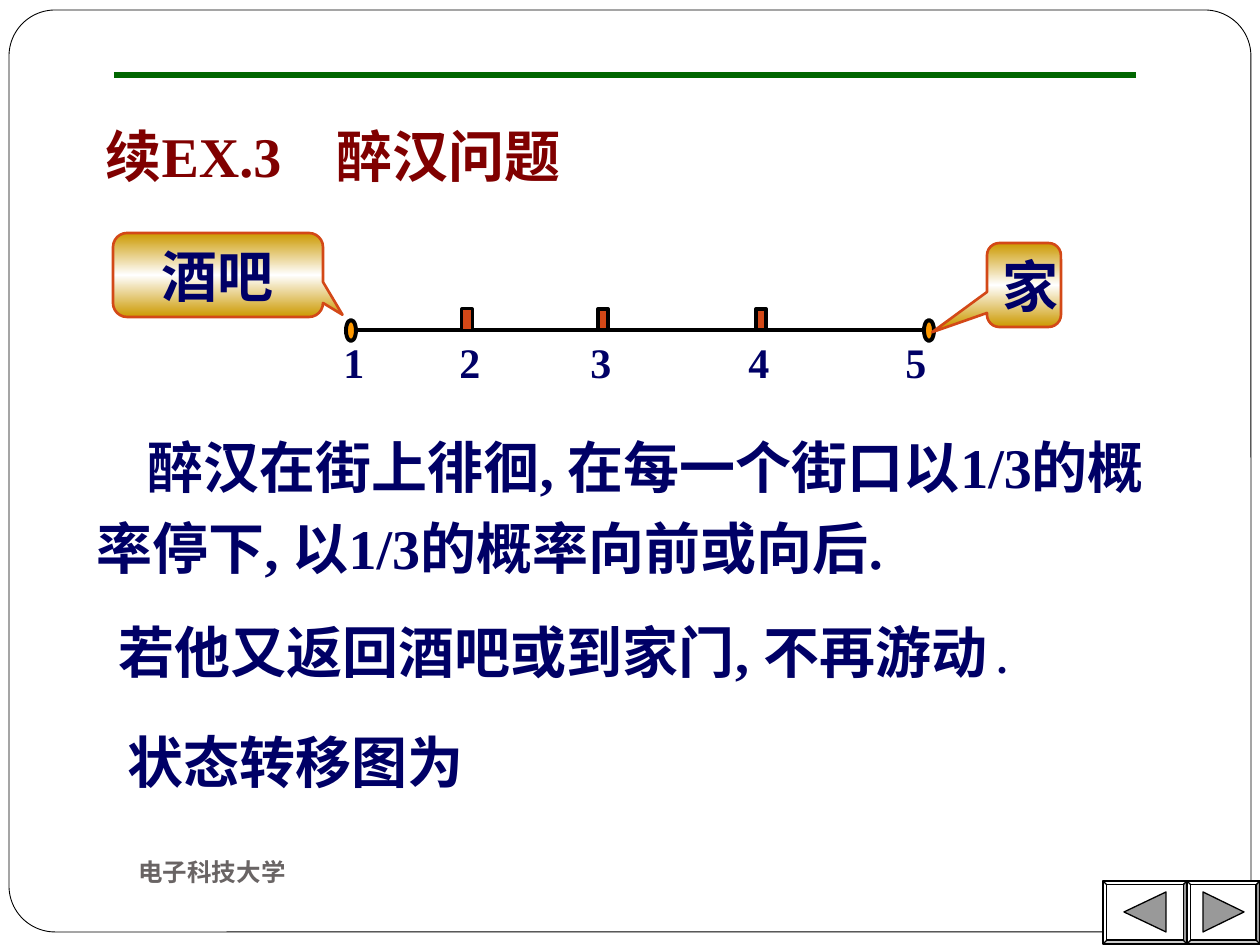
from copy import deepcopy

from pptx import Presentation
from pptx import util as u
from pptx.dml.color import RGBColor
from pptx.enum import shapes as kinds, text as txt
from pptx.oxml.ns import qn
from pptx.oxml.xmlchemy import OxmlElement

SCALE = 914400 / 126
NAVY, MAROON, RUST, GOLD = "000066", "800000", "D34817", "CC9900"
SHAPE = kinds.MSO_SHAPE


def px(n):
    return u.Emu(round(n * SCALE))


def colour(value):
    return RGBColor.from_string(value)


def place(shape, box):
    shape.left, shape.top, shape.width, shape.height = map(px, box)


def outline(shape, value, width):
    shape.line.color.rgb = colour(value)
    shape.line.width = u.Pt(width)


def paint(shape, fill, line, width):
    shape.shadow.inherit = False
    shape.fill.solid()
    shape.fill.fore_color.rgb = colour(fill)
    outline(shape, line, width)


def add_shape(slide, kind, box, fill, line="000000", width=2.25):
    shape = slide.shapes.add_shape(kind, *map(px, box))
    paint(shape, fill, line, width)
    return shape


def add_line(slide, start, end, line, width):
    connector = slide.shapes.add_connector(
        kinds.MSO_CONNECTOR.STRAIGHT, *map(px, start + end))
    outline(connector, line, width)
    connector._element.spPr.append(OxmlElement("a:effectLst"))


def write(frame, runs, value=NAVY, align=txt.PP_ALIGN.LEFT):
    paragraph = frame.paragraphs[0]
    paragraph.alignment = align
    for words, size in runs:
        run = paragraph.add_run()
        run.text = words
        run.font.size = u.Pt(size)
        run.font.bold = True
        run.font.name = "Times New Roman"
        run.font.color.rgb = colour(value)
    return paragraph


def add_text(slide, box, runs, value=NAVY, wrap=False):
    frame = slide.shapes.add_textbox(*map(px, box)).text_frame
    frame.word_wrap = wrap
    return write(frame, runs, value)


def add_button(slide, box, arrow):
    left, top, width, height = box
    bevel = add_shape(slide, SHAPE.BEVEL, box, "FFFFFF", width=0.75)
    bevel.adjustments[0] = 0.06
    points = [(left + x, top + y) for x, y in arrow]
    builder = slide.shapes.build_freeform(*points[0], scale=SCALE)
    builder.add_line_segments(points[1:], close=True)
    paint(builder.convert_to_shape(), "999999", "000000", 0.75)


def add_frame(slide):
    card = add_shape(slide, SHAPE.ROUNDED_RECTANGLE, (9, 10, 1242, 922),
                     "FFFFFF", width=0.5)
    card.adjustments[0] = 0.05
    add_button(slide, (1187, 881, 73, 63), [(16, 11), (57, 31), (16, 51)])
    add_button(slide, (1103, 881, 84, 63), [(21, 31), (63, 11), (63, 51)])
    add_line(slide, (114, 75), (1136, 75), "006600", 3)
    add_text(slide, (126, 851, 546, 63), [("电子科技大学", 14)], "696464")


def add_title(slide, box):
    title = slide.shapes.title
    place(title, box)
    frame = title.text_frame
    frame.auto_size = txt.MSO_AUTO_SIZE.NONE
    frame.vertical_anchor = txt.MSO_ANCHOR.TOP
    frame.word_wrap = True
    paragraph = write(frame, [("续EX.3\t醉汉问题", 32)], MAROON)
    tabs = OxmlElement("a:tabLst")
    stop = OxmlElement("a:tab")
    stop.set("pos", str(px(231)))
    stop.set("algn", "l")
    tabs.append(stop)
    paragraph._p.get_or_add_pPr().append(tabs)


def add_callout(slide, box, pointer, words):
    callout = add_shape(slide, SHAPE.ROUNDED_RECTANGULAR_CALLOUT, box,
                        GOLD, RUST, 1.5)
    for index, value in enumerate(pointer):
        callout.adjustments[index] = value
    callout.fill.gradient()
    callout.fill.gradient_angle = 90
    stops = callout._element.spPr.find(qn("a:gradFill")).find(qn("a:gsLst"))
    stops.insert(1, deepcopy(stops[0]))
    for stop, value, position in zip(callout.fill.gradient_stops,
                                     (GOLD, "FFFFFF", GOLD), (0, 0.5, 1)):
        stop.color.rgb = colour(value)
        stop.position = position
    callout.text_frame.word_wrap = True
    write(callout.text_frame, [(words, 32)], align=txt.PP_ALIGN.CENTER)


def add_street(slide, box):
    left, top, width, height = box
    add_line(slide, (left, top + 21), (left + width, top + 21), "000000", 2.25)
    for end in (0, width - 10):
        add_shape(slide, SHAPE.OVAL, (left + end, top + 11, 10, 21), "FF9900")
    corners = (116, 252, 410)
    for corner in corners:
        add_shape(slide, SHAPE.RECTANGLE, (left + corner, top, 10, 21), RUST)
    add_callout(slide, (left - 233, top - 76, 210, 84),
                (0.593, 0.474, 0.167), "酒吧")
    add_shape(slide, SHAPE.RECTANGLE, (left + corners[0], top, 10, 21),
              RUST, width=0.75)
    add_callout(slide, (left + 641, top - 66, 74, 84),
                (-1.241, 0.562, 0.167), "家")
    for number, offset in enumerate((-15, 101, 232, 390, 547), 1):
        add_text(slide, (left + offset, top + 21, 45, 63), [(str(number), 24)])


def add_story(slide, box):
    left, top, width, height = box
    walk = add_text(slide, (left, top, width, 174),
                    [("醉汉在街上徘徊, 在每一个街口以1/3的"
                      "概率停下, 以1/3的概率向前或向后.", 32)], wrap=True)
    walk.line_spacing = 1.2
    walk._p.get_or_add_pPr().set("indent", str(px(51)))
    add_text(slide, (left + 22, top + 198, 951, 81),
             [("若他又返回酒吧或到家门, 不再游动", 32), (" .", 24)])
    add_text(slide, (left + 31, top + 308, 374, 81), [("状态转移图为", 32)])


def main():
    deck = Presentation()
    deck.slide_width, deck.slide_height = px(1260), px(945)
    slide = deck.slides.add_slide(deck.slide_layouts[5])
    add_frame(slide)
    title = slide.shapes.title._element
    title.getparent().append(title)
    add_title(slide, (93, 115, 508, 81))
    add_street(slide, (346, 309, 588, 32))
    add_story(slide, (84, 413, 1081, 389))
    deck.save("out.pptx")


if __name__ == "__main__":
    main()
